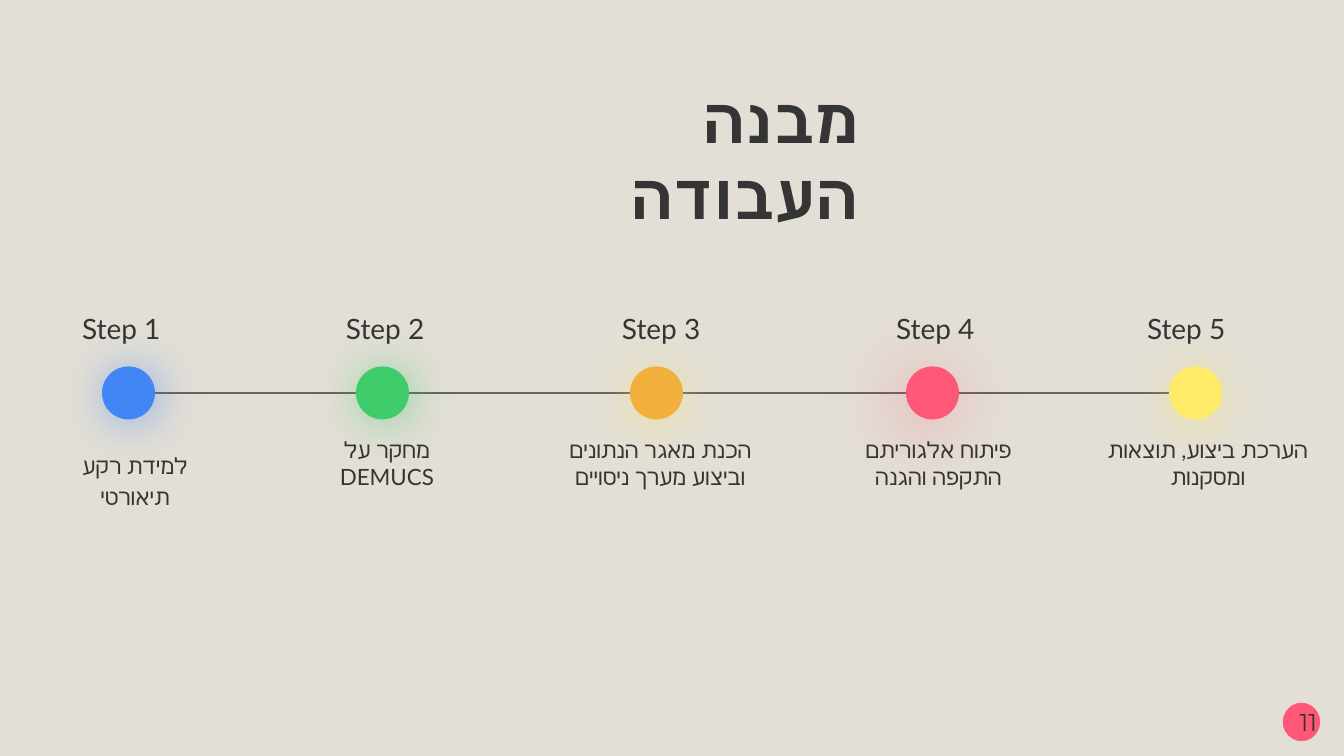
"""Build a five-step timeline slide showing the structure of the work."""
from dataclasses import dataclass

from lxml.etree import SubElement
from pptx import Presentation
from pptx.dml.color import RGBColor
from pptx.enum.shapes import MSO_CONNECTOR, MSO_SHAPE
from pptx.enum.text import MSO_ANCHOR, PP_ALIGN
from pptx.oxml.ns import qn
from pptx.util import Inches, Pt


@dataclass(frozen=True)
class Theme:
    background: str = "E3DFD6"
    ink: str = "353535"
    rail: str = "69615E"
    blue: str = "4285F4"
    green: str = "41CC6B"
    orange: str = "F0B03B"
    pink: str = "FF5777"
    yellow: str = "FFEB67"
    font: str = "Lato"
    number_font: str = "Montserrat"
    title_size: int = 34
    step_size: int = 15
    body_size: int = 12
    number_size: int = 13
    hairline: float = 0.75


THEME = Theme()
PX_PER_INCH = 134.4
SLIDE_WIDTH, SLIDE_HEIGHT = 1344, 756
RAIL_Y, RAIL_START, RAIL_END = 393, 112, 1222
DOT_SIZE = 53
INSET = 13
LABEL_TOP, LABEL_WIDTH, LABEL_HEIGHT = 298, 121, 54

TITLE = "מבנה העבודה"
PAGE_NUMBER = "11"

SOFT_GLOW = {"alpha": 56, "blur": 25.9, "distance": 2.2, "angle": 45}
LOW_GLOW = {"alpha": 50, "blur": 27, "distance": 3, "angle": 90}
WIDE_GLOW = {"alpha": 50, "blur": 38.2, "distance": 6, "angle": 130}

STEPS = [
    {"text": "למידת רקע תיאורטי", "dot": 102, "label": 69, "body": (34, 435, 202, 54),
     "spacing": 1.15, "fill": THEME.blue, "glow": THEME.blue, "shadow": SOFT_GLOW},
    {"text": "מחקר על DEMUCS", "dot": 356, "label": 333, "body": (286, 423, 202, 74),
     "spacing": 1, "fill": THEME.green, "glow": THEME.green, "shadow": SOFT_GLOW},
    {"text": "הכנת מאגר הנתונים וביצוע מערך ניסויים", "dot": 630, "label": 609,
     "body": (544, 423, 233, 74), "spacing": 1, "fill": THEME.orange,
     "glow": THEME.yellow, "shadow": LOW_GLOW},
    {"text": "פיתוח אלגוריתם התקפה והגנה", "dot": 906, "label": 883,
     "body": (829, 423, 219, 74), "spacing": 1, "fill": THEME.pink,
     "glow": THEME.pink, "shadow": WIDE_GLOW},
    {"text": "הערכת ביצוע, תוצאות ומסקנות", "dot": 1169, "label": 1134,
     "body": (1087, 423, 242, 83), "spacing": 1, "fill": THEME.yellow,
     "glow": THEME.yellow, "shadow": LOW_GLOW},
]


def px(length):
    return Inches(length / PX_PER_INCH)


def rgb(value):
    return RGBColor.from_string(value)


def add_rail(slide):
    rail = slide.shapes.add_connector(
        MSO_CONNECTOR.STRAIGHT, px(RAIL_START), px(RAIL_Y), px(RAIL_END), px(RAIL_Y))
    rail.line.color.rgb = rgb(THEME.rail)
    rail.line.width = Pt(THEME.hairline)
    SubElement(rail._element.spPr, qn("a:effectLst"))


def add_circle(slide, box, fill):
    circle = slide.shapes.add_shape(MSO_SHAPE.OVAL, *map(px, box))
    circle.shadow.inherit = False
    circle.fill.solid()
    circle.fill.fore_color.rgb = rgb(fill)
    circle.line.fill.background()
    return circle


def add_glow(shape, color, alpha, blur, distance, angle):
    effects = shape._element.spPr.find(qn("a:effectLst"))
    shadow = SubElement(
        effects, qn("a:outerShdw"), blurRad=str(int(Pt(blur))), dist=str(int(Pt(distance))),
        dir=str(angle * 60000), algn="bl", rotWithShape="0")
    shade = SubElement(shadow, qn("a:srgbClr"), val=color)
    SubElement(shade, qn("a:alpha"), val=str(alpha * 1000))


def add_text(slide, text, box, size, align=PP_ALIGN.LEFT, spacing=1,
             right_to_left=False, bold=False, font=THEME.font):
    frame = slide.shapes.add_textbox(*map(px, box)).text_frame
    frame.word_wrap = True
    frame.vertical_anchor = MSO_ANCHOR.TOP
    frame.margin_left = frame.margin_right = px(INSET)
    frame.margin_top = frame.margin_bottom = px(INSET)
    frame.text = text
    paragraph = frame.paragraphs[0]
    paragraph.alignment = align
    paragraph.line_spacing = float(spacing)
    if right_to_left:
        paragraph._p.get_or_add_pPr().set("rtl", "1")
    run = paragraph.runs[0]
    run.font.name = font
    run.font.size = Pt(size)
    run.font.bold = bold
    run.font.color.rgb = rgb(THEME.ink)
    SubElement(run._r.get_or_add_rPr(), qn("a:cs"), typeface=font)


def add_step(slide, number, step):
    dot_box = (step["dot"], RAIL_Y - DOT_SIZE / 2, DOT_SIZE, DOT_SIZE)
    dot = add_circle(slide, dot_box, step["fill"])
    add_glow(dot, step["glow"], **step["shadow"])
    add_text(slide, f"Step {number}", (step["label"], LABEL_TOP, LABEL_WIDTH, LABEL_HEIGHT),
             THEME.step_size)
    add_text(slide, step["text"], step["body"], THEME.body_size, PP_ALIGN.CENTER,
             step["spacing"], right_to_left=True)


def add_page_number(slide):
    badge = add_circle(slide, (1282, 702, 39, 40), THEME.pink)
    badge.line.color.rgb = rgb(THEME.background)
    badge.line.width = Pt(THEME.hairline)
    add_text(slide, PAGE_NUMBER, (1249, 694, 81, 58), THEME.number_size, PP_ALIGN.RIGHT,
             font=THEME.number_font)


def main():
    presentation = Presentation()
    presentation.slide_width = px(SLIDE_WIDTH)
    presentation.slide_height = px(SLIDE_HEIGHT)
    slide = presentation.slides.add_slide(presentation.slide_layouts[6])
    slide.background.fill.solid()
    slide.background.fill.fore_color.rgb = rgb(THEME.background)
    add_rail(slide)
    add_text(slide, TITLE, (472, 67, 400, 101), THEME.title_size, PP_ALIGN.RIGHT,
             right_to_left=True, bold=True)
    for number, step in enumerate(STEPS, start=1):
        add_step(slide, number, step)
    add_page_number(slide)
    presentation.save("out.pptx")


if __name__ == "__main__":
    main()
